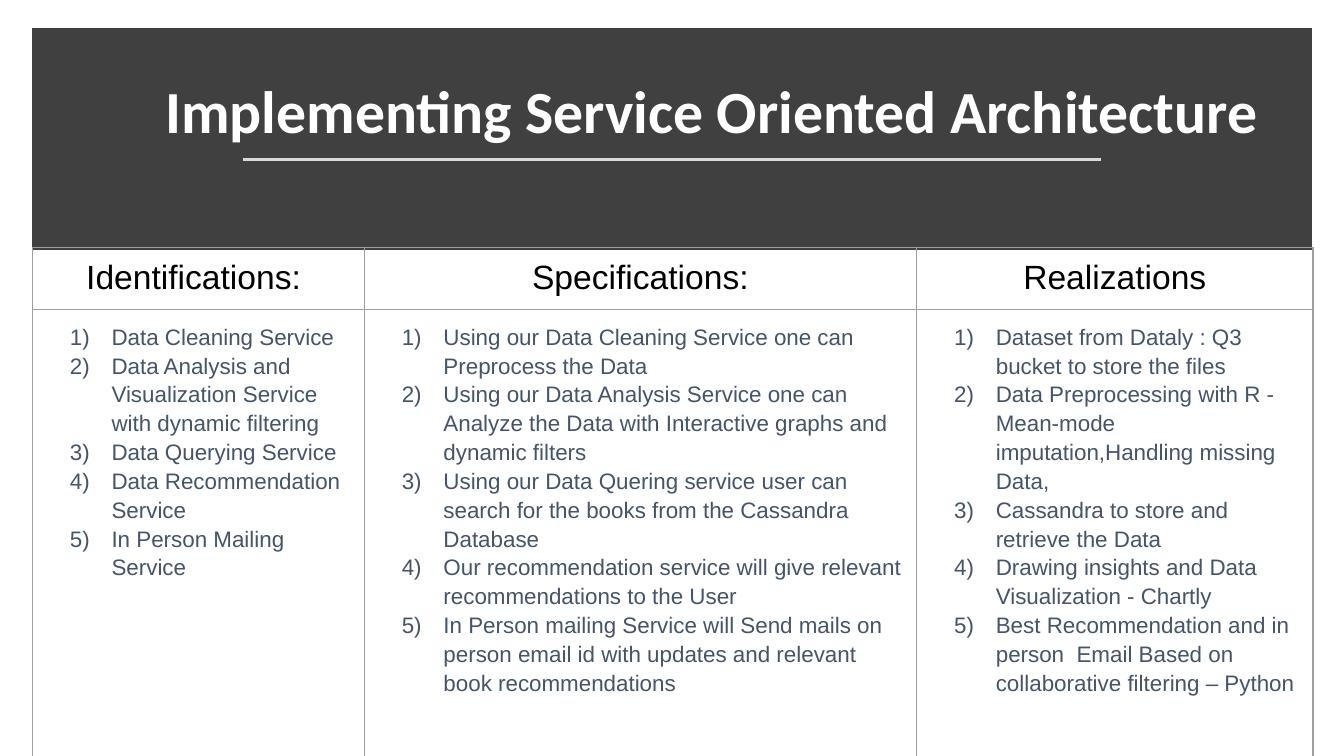
from collections import namedtuple

from lxml import etree
from pptx import Presentation
from pptx.dml.color import RGBColor
from pptx.enum import shapes, text
from pptx.oxml import ns
from pptx.util import Emu, Inches, Pt

COLORS = {
    "banner": "404040",
    "title": "FFFFFF",
    "rule": "D9D9D9",
    "grid": "9E9E9E",
    "heading": "000000",
    "body": "44546A",
}
Box = namedtuple("Box", "left top width height")

COLUMN_WIDTHS = (2.47, 4.11, 2.95)
ROW_HEIGHTS = (0.43, 3.36)
SERVICES = {
    "Identifications: ": [
        "Data Cleaning Service",
        "Data Analysis and Visualization Service with dynamic filtering",
        "Data Querying Service",
        "Data Recommendation Service",
        "In Person Mailing Service",
    ],
    "Specifications:": [
        "Using our Data Cleaning Service one can Preprocess the Data",
        "Using our Data Analysis Service one can Analyze the Data with "
        "Interactive graphs and dynamic filters",
        "Using our Data Quering service user can search for the books from "
        "the Cassandra Database",
        "Our recommendation service will give relevant recommendations to the User",
        "In Person mailing Service will Send mails on person email id with "
        "updates and relevant book recommendations",
    ],
    "Realizations": [
        "Dataset from Dataly : Q3 bucket to store the files",
        "Data Preprocessing with R - Mean-mode imputation,Handling missing Data,",
        "Cassandra to store and retrieve the Data",
        "Drawing insights and Data Visualization - Chartly",
        "Best Recommendation and in person  Email Based on collaborative "
        "filtering – Python",
    ],
}


def rgb(name):
    return RGBColor.from_string(COLORS[name])


def part(box, left, top, width, height):
    """Return the box lying at the given shares of another box."""
    return Box(Emu(int(box.left + left * box.width)),
               Emu(int(box.top + top * box.height)),
               Emu(int(width * box.width)), Emu(int(height * box.height)))


def add_xml(parent, tag, **attributes):
    return etree.SubElement(parent, ns.qn(tag), attributes)


def add_run(paragraph, words, font, size, color, bold=False):
    run = paragraph.add_run()
    run.text = words
    run.font.name, run.font.size, run.font.bold = font, Pt(size), bold
    run.font.color.rgb = rgb(color)


def number_item(paragraph):
    """Give a list item its hanging indent and automatic number."""
    paragraph.line_spacing = 1.15
    properties = paragraph._p.get_or_add_pPr()
    properties.set("marL", str(Inches(0.5)))
    properties.set("indent", str(Inches(-0.31)))
    add_xml(add_xml(properties, "a:buClr"), "a:srgbClr", val=COLORS["body"])
    add_xml(properties, "a:buFont", typeface="Arial")
    add_xml(properties, "a:buAutoNum", type="arabicParenR")


def format_cell(cell, bottom):
    properties = cell._tc.get_or_add_tcPr()
    for side in "LRTB":
        border = add_xml(properties, f"a:ln{side}", w=str(Pt(0.75)))
        add_xml(add_xml(border, "a:solidFill"), "a:srgbClr", val=COLORS["grid"])
    cell.fill.background()
    cell.margin_left = cell.margin_right = cell.margin_top = Inches(0.09)
    cell.margin_bottom = Inches(bottom)


def add_banner(slide, box):
    # Dark band with square corners
    band = slide.shapes.add_shape(shapes.MSO_SHAPE.RECTANGLE, *box)
    band.shadow.inherit = False
    band.fill.solid()
    band.fill.fore_color.rgb = band.line.color.rgb = rgb("banner")
    band.line.width = Pt(10)
    add_xml(band.line._get_or_add_ln(), "a:miter", lim="800000")

    # Title
    title = slide.shapes.add_textbox(*part(box, 0.013, 0.15, 0.974, 0.42))
    frame = title.text_frame
    frame.word_wrap = True
    frame.vertical_anchor = text.MSO_ANCHOR.BOTTOM
    heading = frame.paragraphs[0]
    heading.line_spacing = 0.9
    heading._p.get_or_add_pPr().set("marL", str(Inches(0.7)))
    add_run(heading, "Implementing Service Oriented Architecture",
            "Calibri", 32, "title", bold=True)

    # Rule under the title
    span = part(box, 0.16, 0.6, 0.68, 0)
    rule = slide.shapes.add_connector(
        shapes.MSO_CONNECTOR.STRAIGHT, span.left, span.top,
        span.left + span.width, span.top)
    rule.line.color.rgb = rgb("rule")
    rule.line.width = Pt(1.75)
    add_xml(rule._element.spPr, "a:effectLst")


def add_services(slide, box):
    table = slide.shapes.add_table(2, len(SERVICES), *box).table
    table.first_row = table.horz_banding = False
    for column, width in zip(table.columns, COLUMN_WIDTHS):
        column.width = int(box.width * width / sum(COLUMN_WIDTHS))
    for row, height in zip(table.rows, ROW_HEIGHTS):
        row.height = int(box.height * height / sum(ROW_HEIGHTS))

    for index, (name, items) in enumerate(SERVICES.items()):
        # Column heading
        head = table.cell(0, index)
        format_cell(head, bottom=0.07)
        heading = head.text_frame.paragraphs[0]
        heading.alignment = text.PP_ALIGN.CENTER
        add_run(heading, name, "Arial", 18, "heading")

        # Numbered items
        body = table.cell(1, index)
        format_cell(body, bottom=0.09)
        frame = body.text_frame
        for position, item in enumerate(items):
            paragraph = frame.add_paragraph() if position else frame.paragraphs[0]
            number_item(paragraph)
            add_run(paragraph, item, "Arial", 12, "body")


def main():
    deck = Presentation()
    deck.slide_width = Inches(10)
    deck.slide_height = deck.slide_width * 9 // 16
    slide = deck.slides.add_slide(deck.slide_layouts[6])
    page = Box(0, 0, deck.slide_width, deck.slide_height)
    add_banner(slide, part(page, 0.031, 0.05, 0.938, 0.268))
    add_services(slide, Box(Inches(0.24), Inches(1.84),
                            Inches(sum(COLUMN_WIDTHS)), Inches(sum(ROW_HEIGHTS))))
    deck.save("out.pptx")


if __name__ == "__main__":
    main()
